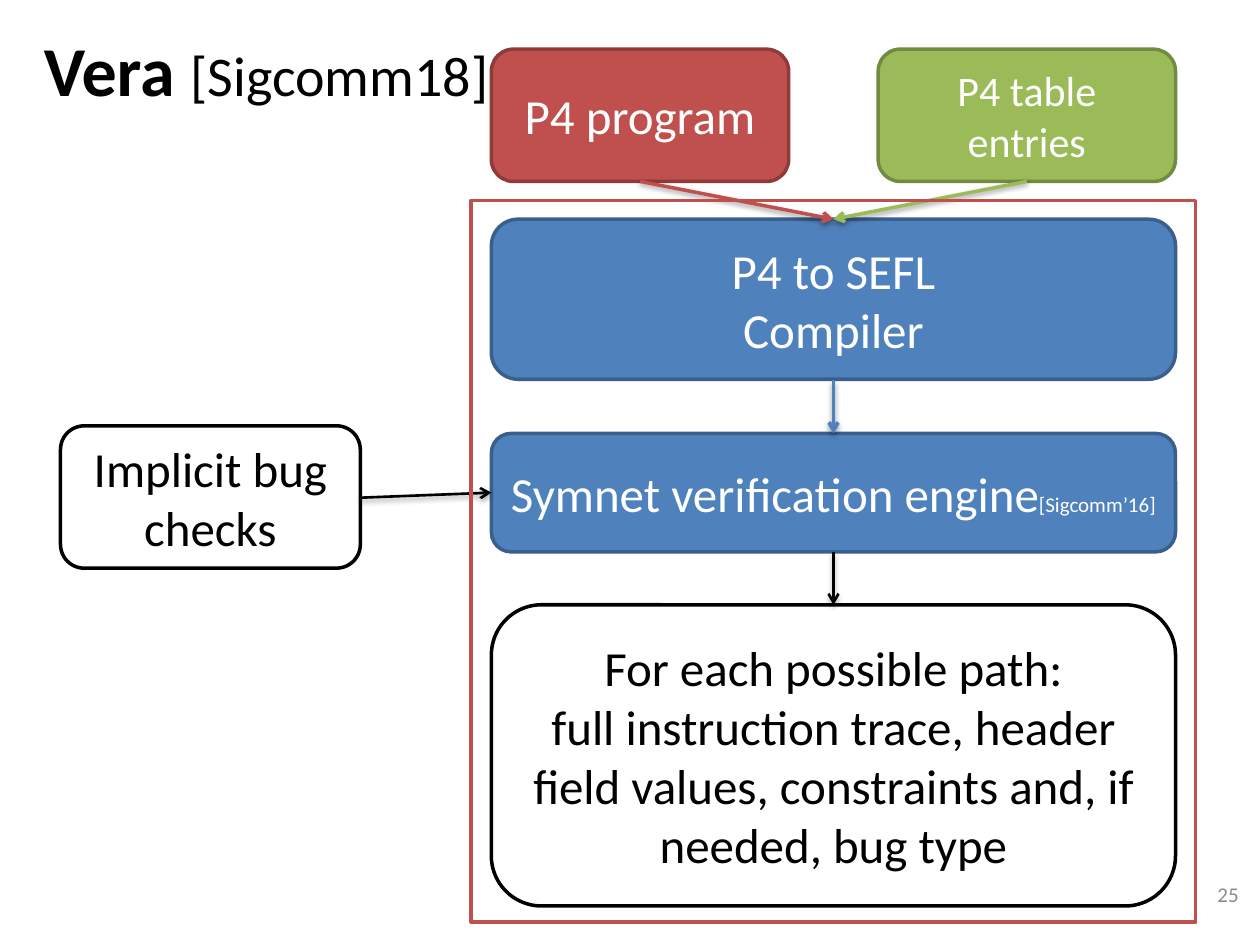
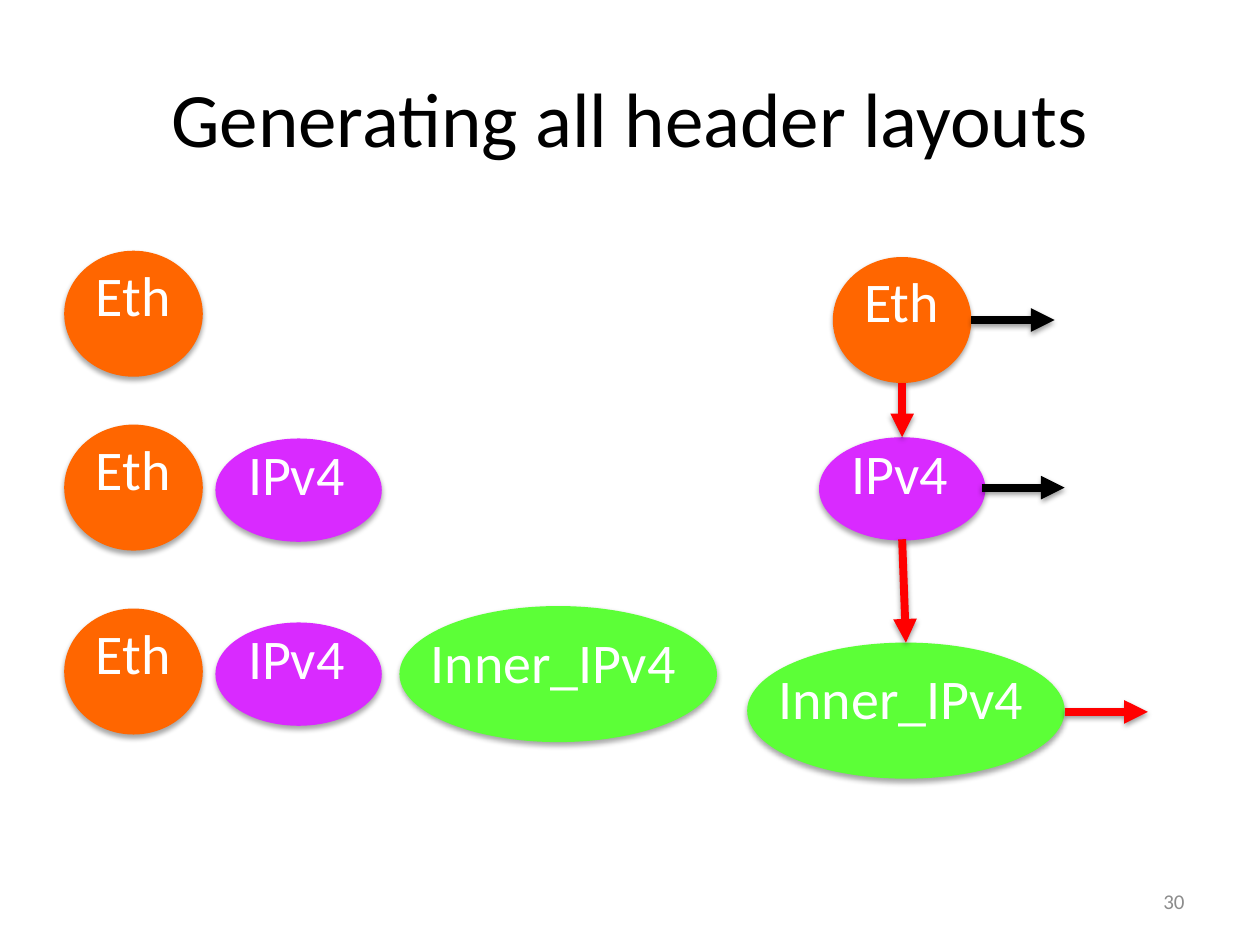
"""Build two slides: the Vera tool pipeline and the generated header layouts."""
from pptx import Presentation, util as u
from pptx.dml.color import RGBColor
from pptx.enum import shapes, text
from pptx.oxml import parse_xml
from pptx.oxml.ns import nsdecls

FONT = "Calibri"
COLOURS = {
    "black": "000000", "white": "FFFFFF", "grey": "8C8C8C", "bright red": "FF0000",
    "red": "C0504D", "dark red": "8E3B39", "blue": "4F81BD", "dark blue": "3A5F8C",
    "green": "9BBB59", "dark green": "738A42",
    "orange": "FF6600", "purple": "D92AFF", "lime": "5CFF37",
}
RGB = {name: RGBColor.from_string(value) for name, value in COLOURS.items()}
CENTRE, LEFT, RIGHT = text.PP_ALIGN.CENTER, text.PP_ALIGN.LEFT, text.PP_ALIGN.RIGHT


def write(shape, paragraphs, colour, align=CENTRE, anchor=text.MSO_ANCHOR.MIDDLE):
    """Fill a shape with paragraphs, each a list of (words, size, bold)."""
    frame = shape.text_frame
    frame.word_wrap = True
    frame.vertical_anchor = anchor
    for index, pieces in enumerate(paragraphs):
        paragraph = frame.add_paragraph() if index else frame.paragraphs[0]
        paragraph.alignment = align
        for words, size, bold in pieces:
            first = len(paragraph.runs)
            if first:
                paragraph.add_run().text = words
            else:
                paragraph.text = words
            for run in paragraph.runs[first:]:
                run.font.name = FONT
                run.font.size = u.Pt(size)
                run.font.bold = bold
                run.font.color.rgb = RGB[colour]


def cast_shadow(shape, opacity, distance):
    """Give a shape or connector a soft shadow straight below it."""
    shape._element.spPr.append(parse_xml(
        f'<a:effectLst {nsdecls("a")}><a:outerShdw blurRad="{u.Pt(3.1)}" '
        f'dist="{u.Pt(distance)}" dir="5400000" rotWithShape="0"><a:srgbClr val="000000">'
        f'<a:alpha val="{opacity * 1000}"/></a:srgbClr></a:outerShdw></a:effectLst>'))


presentation = Presentation()
presentation.slide_width, presentation.slide_height = u.Inches(10), u.Inches(7.5)
blank = presentation.slide_layouts[6]
pipeline = presentation.slides.add_slide(blank)
layouts = presentation.slides.add_slide(blank)

labels = [
    (pipeline, (0.25, -0.08, 4.47, 1.25), [("Vera ", 40, True), ("[Sigcomm18]", 32, False)],
     "black", LEFT),
    (pipeline, (7.6, 6.9, 2.33, 0.4), [("25", 12, False)], "grey", RIGHT),
    (layouts, (0.5, 0.3, 9, 1.25), [("Generating all header layouts", 44, False)],
     "black", CENTRE),
    (layouts, (7.17, 6.95, 2.33, 0.4), [("30", 12, False)], "grey", RIGHT),
]
for slide, place, pieces, colour, align in labels:
    box = slide.shapes.add_textbox(*map(u.Inches, place))
    write(box, [pieces], colour, align)

stage_left, stage_width, input_width = 3.9, 5.43, 2.36
entries_left = stage_left + stage_width - input_width
stage_middle = stage_left + stage_width / 2
stages = [
    ((0.48, 3.38, 2.38, 1.13), "white", "black", "black",
     [[("Implicit bug checks", 28, False)]]),
    ((stage_left, 0.39, input_width, 1.05), "red", "dark red", "white",
     [[("P4 program", 28, False)]]),
    ((entries_left, 0.39, input_width, 1.05), "green", "dark green", "white",
     [[("P4 table entries", 24, False)]]),
    ((stage_left, 1.74, stage_width, 1.27), "blue", "dark blue", "white",
     [[("P4 to SEFL\nCompiler", 28, False)]]),
    ((stage_left, 3.44, stage_width, 0.94), "blue", "dark blue", "white",
     [[("Symnet verification engine", 28, False), ("[Sigcomm’16]", 12, False)]]),
    ((stage_left, 4.8, stage_width, 2.39), "white", "black", "black",
     [[("For each possible path:", 28, False)],
      [("full instruction trace, header field values, constraints and, if needed, bug type",
        28, False)]]),
]
for place, fill, outline, ink, paragraphs in stages:
    stage = pipeline.shapes.add_shape(
        shapes.MSO_SHAPE.ROUNDED_RECTANGLE, *map(u.Inches, place))
    stage.shadow.inherit = False
    stage.fill.solid()
    stage.fill.fore_color.rgb = RGB[fill]
    stage.line.color.rgb = RGB[outline]
    stage.line.width = u.Pt(2)
    write(stage, paragraphs, ink)

headers = {
    "Eth": ("orange", 1.1, 1, (0.15, 0.03, 0.81)),
    "IPv4": ("purple", 1.32, 0.82, (0.16, -0.04, 0.98)),
    "Inner_IPv4": ("lime", 2.52, 1.08, (0.15, 0.12, 2.16)),
}
eth_left, ipv4_left, inner_left = 0.51, 1.71, 3.17
header_places = [
    ("Eth", eth_left, 1.99),
    ("Eth", eth_left, 3.37), ("IPv4", ipv4_left, 3.48),
    ("Eth", eth_left, 4.83), ("IPv4", ipv4_left, 4.94), ("Inner_IPv4", inner_left, 4.81),
    ("Eth", 6.61, 2.04), ("IPv4", 6.5, 3.47), ("Inner_IPv4", 5.93, 5.1),
]
for name, left, top in header_places:
    colour, width, height, (inset, drop, label_width) = headers[name]
    group = layouts.shapes.add_group_shape()
    node = group.shapes.add_shape(
        shapes.MSO_SHAPE.FLOWCHART_CONNECTOR, *map(u.Inches, (left, top, width, height)))
    node.fill.solid()
    node.fill.fore_color.rgb = RGB[colour]
    node.line.fill.background()
    cast_shadow(node, 35, 1.8)
    label = group.shapes.add_textbox(
        *map(u.Inches, (left + inset, top + drop, label_width, 0.64)))
    write(label, [[(name, 32, False)]], "white", LEFT, text.MSO_ANCHOR.TOP)
    label.text_frame.word_wrap = False
    label.text_frame.auto_size = text.MSO_AUTO_SIZE.SHAPE_TO_FIT_TEXT

arrows = [
    (pipeline, (stage_left + input_width / 2, 1.44, stage_middle, 1.74), "red", 2),
    (pipeline, (entries_left + input_width / 2, 1.44, stage_middle, 1.74), "green", 2),
    (pipeline, (stage_middle, 3.02, stage_middle, 3.44), "blue", 2),
    (pipeline, (stage_middle, 4.38, stage_middle, 4.8), "black", 1.5),
    (pipeline, (2.86, 3.95, stage_left, 3.91), "black", 1.5),
    (layouts, (7.71, 2.54, 8.37, 2.54), "black", 4.5),
    (layouts, (7.79, 3.87, 8.45, 3.87), "black", 4.5),
    (layouts, (8.45, 5.65, 9.11, 5.65), "bright red", 4.5),
    (layouts, (7.16, 3.04, 7.16, 3.47), "bright red", 4.5),
    (layouts, (7.16, 4.28, 7.19, 5.1), "bright red", 4.5),
]
for slide, ends, colour, weight in arrows:
    arrow = slide.shapes.add_connector(
        shapes.MSO_CONNECTOR.STRAIGHT, *map(u.Inches, ends))
    arrow.line.color.rgb = RGB[colour]
    arrow.line.width = u.Pt(weight)
    head = "arrow" if slide is pipeline else "triangle"
    arrow.line._get_or_add_ln().append(
        parse_xml(f'<a:tailEnd {nsdecls("a")} type="{head}"/>'))
    if weight == 1.5:
        cast_shadow(arrow, 35, 1.8)
    else:
        cast_shadow(arrow, 38, 1.6)

tool_frame = pipeline.shapes.add_shape(
    shapes.MSO_SHAPE.RECTANGLE, *map(u.Inches, (3.74, 1.59, 5.75, 5.73)))
tool_frame.shadow.inherit = False
tool_frame.fill.background()
tool_frame.line.color.rgb = RGB["red"]
tool_frame.line.width = u.Pt(2)

presentation.save("out.pptx")
